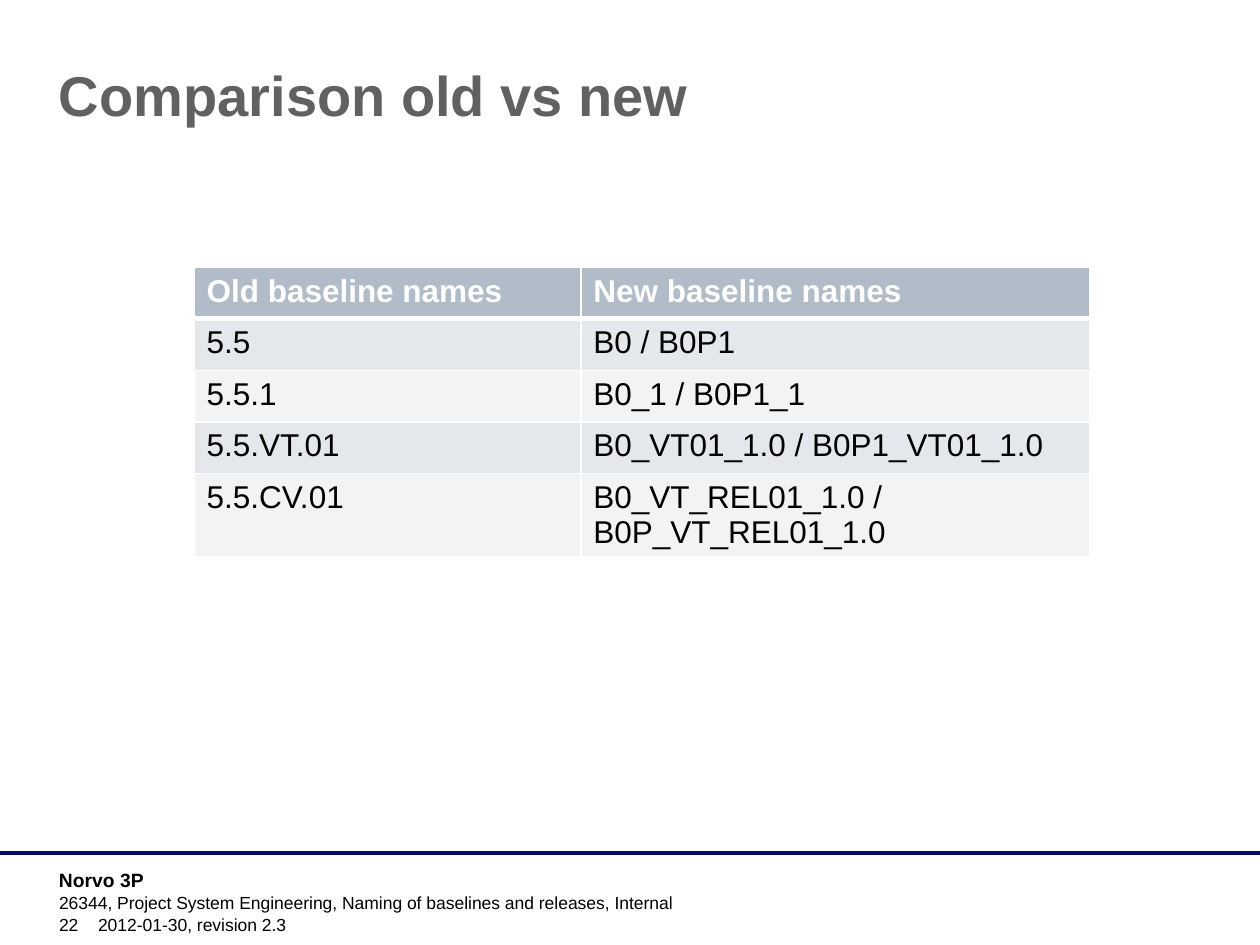
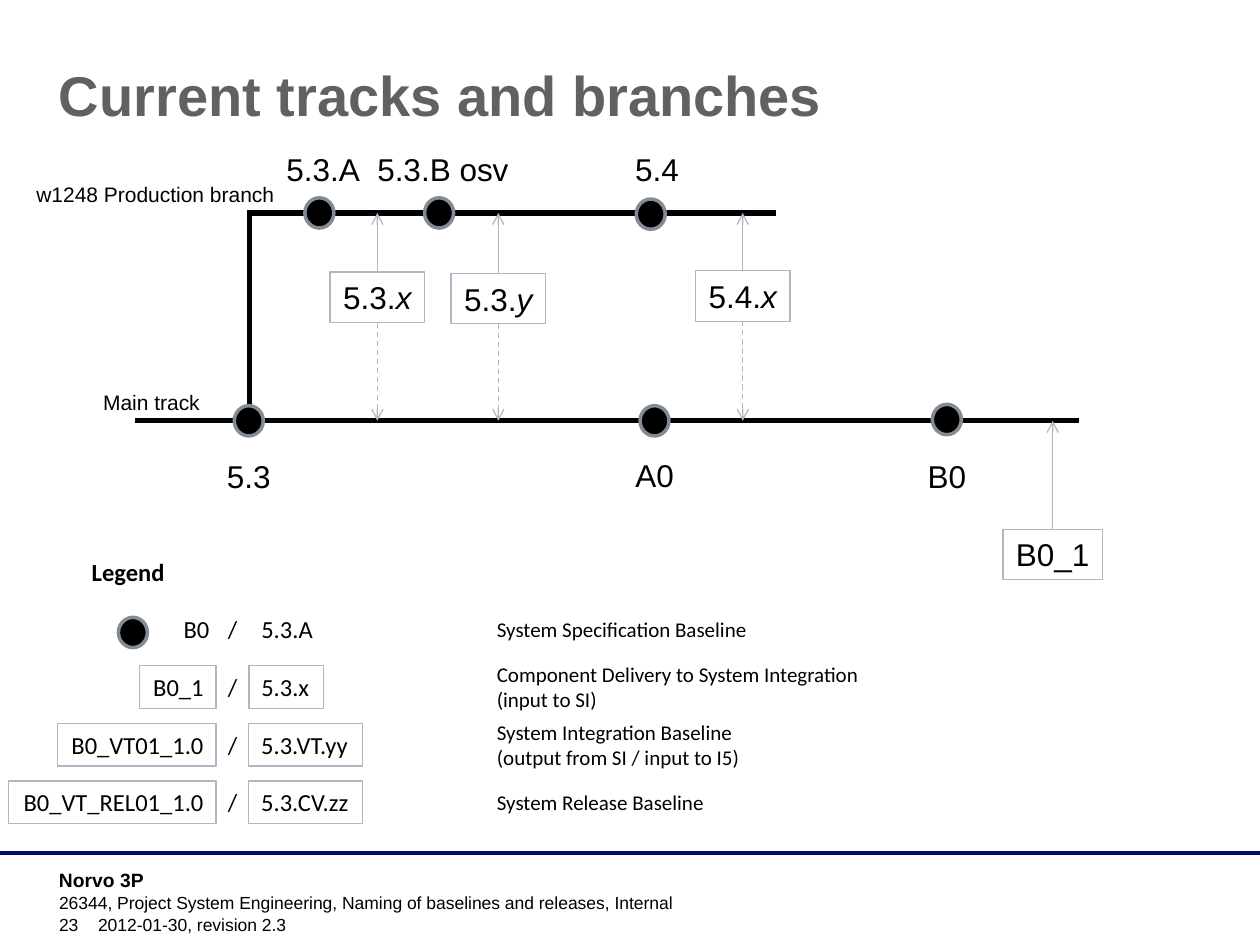
from dataclasses import dataclass

from lxml.etree import SubElement
from pptx import Presentation
from pptx.dml.color import RGBColor
from pptx.enum.dml import MSO_LINE_DASH_STYLE as Dash
from pptx.enum.shapes import MSO_CONNECTOR as Connector, MSO_SHAPE as Preset
from pptx.enum.text import MSO_ANCHOR as Anchor, MSO_AUTO_SIZE as AutoSize, PP_ALIGN as Align
from pptx.oxml.ns import qn
from pptx.slide import Slide
from pptx.text.text import TextFrame
from pptx.util import Emu, Inches, Pt

BLACK = RGBColor(0x00, 0x00, 0x00)
WHITE = RGBColor(0xFF, 0xFF, 0xFF)
TITLE_GREY = RGBColor(0x61, 0x61, 0x61)
FOOTER_NAVY = RGBColor(0x00, 0x0F, 0x60)
DOT_RIM = RGBColor(0x83, 0x8B, 0x94)
BOX_LINE = RGBColor(0xAD, 0xB8, 0xC4)
HEADER_FILL = RGBColor(0xB1, 0xBC, 0xC8)
BAND_FILLS = (RGBColor(0xE4, 0xE7, 0xEB), RGBColor(0xF2, 0xF3, 0xF5))

WIDTH, HEIGHT = Inches(10), Inches(7.5)
COLUMNS, ROWS = 100, 75
MARGIN = 3.7
MAIN_ROW, BRANCH_ROW = 33.4, 16.9
DOT_WIDTH, DOT_HEIGHT = 2.3, 2.4
LEGEND_TOP, LEGEND_PITCH, LEGEND_HEIGHT = 48.25, 4.58, 3.4

Area = tuple[float, float, float, float]


@dataclass(frozen=True)
class Milestone:
    """A baseline dot on a track, with its label."""

    name: str
    column: float
    row: float
    label_column: float
    label_row: float
    label_width: float


@dataclass(frozen=True)
class Delivery:
    """A boxed delivery with an arrow up and perhaps one down to the main track."""

    name: str
    variable: str
    column: float
    row: float
    width: float
    target_row: float
    reaches_down: bool = True


@dataclass(frozen=True)
class LegendEntry:
    """New and old name forms with their meaning."""

    new: str
    new_width: float
    old: str
    old_width: float
    meaning: str
    meaning_width: float
    boxed: bool = True


BASELINE_NAMES = (
    ("Old baseline names", "New baseline names"),
    ("5.5", "B0 / B0P1"),
    ("5.5.1", "B0_1 / B0P1_1"),
    ("5.5.VT.01", "B0_VT01_1.0 / B0P1_VT01_1.0"),
    ("5.5.CV.01", "B0_VT_REL01_1.0 / B0P_VT_REL01_1.0"),
)
TRACKS = (
    (10.7, MAIN_ROW, 85.6, MAIN_ROW),
    (19.8, MAIN_ROW, 19.8, BRANCH_ROW),
    (19.6, BRANCH_ROW, 61.6, BRANCH_ROW),
)
MILESTONES = (
    Milestone("5.3.A", 25.35, BRANCH_ROW, 25.65, 11.4, 7.9),
    Milestone("5.3.B osv", 34.85, BRANCH_ROW, 35.15, 11.4, 12.5),
    Milestone("5.4", 51.65, 17, 52.15, 11.4, 5.5),
    Milestone("5.3", 19.75, MAIN_ROW, 19.75, 35.8, 5.5),
    Milestone("A0", 51.95, MAIN_ROW, 51.95, 35.7, 5.1),
    Milestone("B0", 75.15, 33.3, 75.15, 35.8, 5.1),
)
DELIVERIES = (
    Delivery("5.3.", "x", 29.95, 21.6, 7.5, BRANCH_ROW),
    Delivery("5.3.", "y", 39.55, 21.7, 7.5, BRANCH_ROW),
    Delivery("5.4.", "x", 58.95, 21.5, 7.5, BRANCH_ROW),
    Delivery("B0_1", "", 83.55, 42, 7.9, MAIN_ROW, reaches_down=False),
)
LEGEND = (
    LegendEntry("B0", 4.1, "5.3.A", 6.2, "System Specification Baseline", 22.2, boxed=False),
    LegendEntry("B0_1", 6.1, "5.3.x", 5.9,
                "Component Delivery to System Integration\n(input to SI)", 32.7),
    LegendEntry("B0_VT01_1.0", 12.6, "5.3.VT.yy", 9,
                "System Integration Baseline\n(output from SI / input to I5)", 22.8),
    LegendEntry("B0_VT_REL01_1.0", 16.5, "5.3.CV.zz", 9, "System Release Baseline", 20.5),
)


def across(columns: float) -> Emu:
    """Turn grid columns into a length."""
    return Emu(round(WIDTH * columns / COLUMNS))


def down(rows: float) -> Emu:
    """Turn grid rows into a length."""
    return Emu(round(HEIGHT * rows / ROWS))


def place(area: Area) -> tuple[Emu, Emu, Emu, Emu]:
    """Turn a grid area into left, top, width and height."""
    left, top, width, height = area
    return across(left), down(top), across(width), down(height)


def write(frame: TextFrame, text: str, *, size: float = 18, font: str = "Arial",
          color: RGBColor = BLACK, bold: bool = False, align: Align = Align.LEFT,
          italic_tail: str = "") -> None:
    """Write one paragraph a line, with an optional italic ending."""
    for index, line in enumerate(text.split("\n")):
        paragraph = frame.add_paragraph() if index else frame.paragraphs[0]
        paragraph.alignment = align
        for part, italic in ((line, False), (italic_tail, True)):
            if part:
                run = paragraph.add_run()
                run.text = part
                run.font.size, run.font.name = Pt(size), font
                run.font.bold, run.font.italic = bold, italic
                run.font.color.rgb = color


def add_label(slide: Slide, area: Area, text: str, *, wrap: bool = True, boxed: bool = False,
              anchor: Anchor = Anchor.TOP, inset_top: float = 0.5, **style) -> None:
    """Add a text area, outlined when boxed."""
    label = slide.shapes.add_textbox(*place(area))
    frame = label.text_frame
    frame.word_wrap = wrap
    frame.auto_size = AutoSize.NONE if wrap else AutoSize.SHAPE_TO_FIT_TEXT
    frame.vertical_anchor = anchor
    frame.margin_top = down(inset_top)
    write(frame, text, **style)
    if boxed:
        label.line.color.rgb = BOX_LINE
        label.line.width = Pt(0.75)


def add_line(slide: Slide, ends: Area, color: RGBColor, width: float, *,
             arrow: bool = False, dashed: bool = False) -> None:
    """Draw a straight line between two grid points."""
    x1, y1, x2, y2 = ends
    line = slide.shapes.add_connector(Connector.STRAIGHT, across(x1), down(y1), across(x2), down(y2))
    line.line.color.rgb = color
    line.line.width = Pt(width)
    if dashed:
        line.line.dash_style = Dash.DASH
    properties = line.element.spPr
    if arrow:
        SubElement(properties.find(qn("a:ln")), qn("a:tailEnd"), type="arrow")
    SubElement(properties, qn("a:effectLst"))


def add_dot(slide: Slide, column: float, row: float) -> None:
    """Draw a baseline dot around a grid point."""
    dot = slide.shapes.add_shape(Preset.OVAL, *place(
        (column - DOT_WIDTH / 2, row - DOT_HEIGHT / 2, DOT_WIDTH, DOT_HEIGHT)))
    dot.shadow.inherit = False
    dot.fill.solid()
    dot.fill.fore_color.rgb = BLACK
    dot.line.color.rgb = DOT_RIM
    dot.line.width = Pt(2)


def add_page(deck: Presentation, title: str, number: int) -> Slide:
    """Add a slide with its title and footer."""
    slide = deck.slides.add_slide(deck.slide_layouts[6])
    add_line(slide, (0, 67.7, COLUMNS, 67.7), FOOTER_NAVY, 2)
    add_label(slide, (MARGIN, 68.4, 23.3, 2.4), "Norvo 3P", size=11, bold=True)
    add_label(slide, (MARGIN, 70.3, 75.2, 2.4),
              "26344, Project System Engineering, Naming of baselines and releases, Internal", size=10)
    add_label(slide, (MARGIN, 72.4, 5.5, 2.3), str(number), size=10, anchor=Anchor.BOTTOM)
    add_label(slide, (6.8, 72.4, 26.3, 2.3), "2012-01-30, revision 2.3", size=10, anchor=Anchor.BOTTOM)
    add_label(slide, (MARGIN, 3.9, 90, 12.5), title, size=32, color=TITLE_GREY, bold=True, inset_top=0.9)
    return slide


def add_names_table(slide: Slide) -> None:
    """Add the table of old and new baseline names."""
    holder = slide.shapes.add_table(len(BASELINE_NAMES), 2, *place((15.4, 21.2, 71.1, 23.2)))
    table = holder.table
    for column, width in zip(table.columns, (30.7, 40.4)):
        column.width = across(width)
    for row, names in enumerate(BASELINE_NAMES):
        table.rows[row].height = down(4.1)
        header = row == 0
        borders = {"L": 1, "R": 1, "T": 3 if row == 1 else 1, "B": 3 if header else 1}
        for column, name in enumerate(names):
            cell = table.cell(row, column)
            properties = cell._tc.get_or_add_tcPr()
            for side, width in borders.items():
                border = SubElement(properties, qn(f"a:ln{side}"), w=str(Pt(width)))
                fill = SubElement(border, qn("a:solidFill"))
                SubElement(fill, qn("a:srgbClr"), val=str(WHITE))
            cell.fill.solid()
            cell.fill.fore_color.rgb = HEADER_FILL if header else BAND_FILLS[(row - 1) % 2]
            write(cell.text_frame, name, color=WHITE if header else BLACK, bold=header)
    holder.height = down(23.2)


def add_tracks(slide: Slide) -> None:
    """Draw the tracks with their milestones and deliveries."""
    for track in TRACKS:
        add_line(slide, track, BLACK, 3)
    add_label(slide, (7.2, 30.4, 11.4, 3), "Main track", size=12)
    add_label(slide, (1.9, 13.9, 22.8, 3), "w1248 Production branch", size=12)
    for stone in MILESTONES:
        add_dot(slide, stone.column, stone.row)
        add_label(slide, (stone.label_column - stone.label_width / 2, stone.label_row,
                          stone.label_width, 4), stone.name, wrap=False, align=Align.CENTER)
    for item in DELIVERIES:
        add_line(slide, (item.column, item.row, item.column, item.target_row),
                 BOX_LINE, 0.75, arrow=True)
        if item.reaches_down:
            add_line(slide, (item.column, item.row + 4, item.column, MAIN_ROW),
                     BOX_LINE, 0.75, arrow=True, dashed=True)
        add_label(slide, (item.column - item.width / 2, item.row, item.width, 4), item.name,
                  wrap=False, boxed=True, align=Align.CENTER, italic_tail=item.variable)


def add_legend(slide: Slide) -> None:
    """Explain the name forms, one legend row each."""
    style = {"font": "Calibri", "size": 14}
    add_label(slide, (6.3, 43.7, 9.4, 3.4), "Legend", bold=True, **style)
    add_dot(slide, 10.55, 50.2)
    for index, entry in enumerate(LEGEND):
        top = LEGEND_TOP + index * LEGEND_PITCH
        new_right = 17.15 if entry.boxed else 17.6
        add_label(slide, (new_right - entry.new_width, top, entry.new_width, LEGEND_HEIGHT),
                  entry.new, wrap=False, boxed=entry.boxed, align=Align.RIGHT, **style)
        add_label(slide, (17.1, top, 2.3, LEGEND_HEIGHT), "/", **style)
        add_label(slide, (19.75, top, entry.old_width, LEGEND_HEIGHT),
                  entry.old, wrap=False, boxed=entry.boxed, **style)
        height = 5 if "\n" in entry.meaning else 3
        add_label(slide, (38.45, top + (LEGEND_HEIGHT - height) / 2, entry.meaning_width, height),
                  entry.meaning, font="Calibri", size=12)


def main() -> None:
    """Build and save the deck."""
    deck = Presentation()
    deck.slide_width, deck.slide_height = WIDTH, HEIGHT
    add_names_table(add_page(deck, "Comparison old vs new", 22))
    branches = add_page(deck, "Current tracks and branches", 23)
    add_tracks(branches)
    add_legend(branches)
    deck.save("out.pptx")


main()
